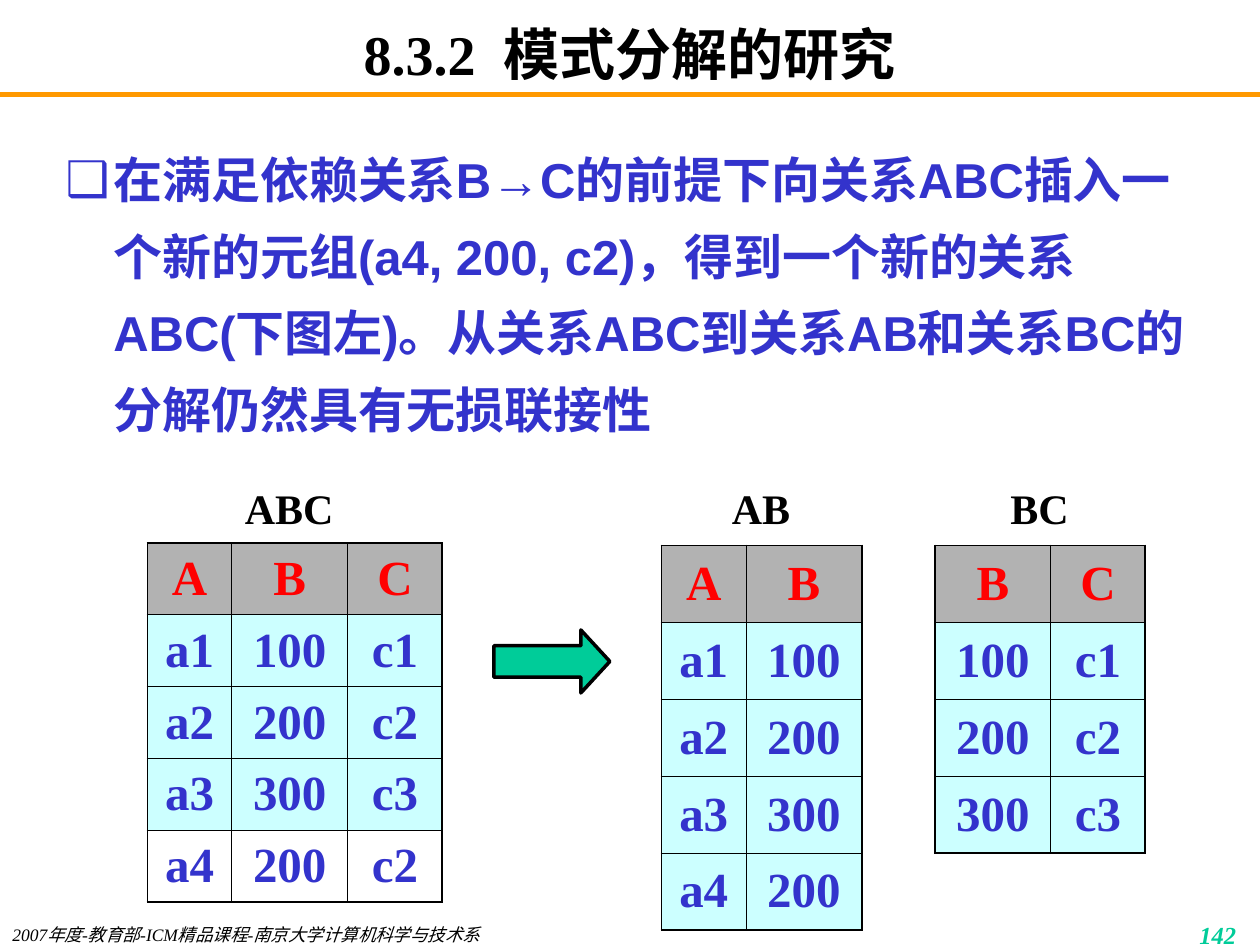
from lxml import etree
from pptx import Presentation
from pptx.dml.color import RGBColor
from pptx.enum.shapes import MSO_CONNECTOR, MSO_SHAPE
from pptx.enum.text import MSO_ANCHOR, MSO_AUTO_SIZE, PP_ALIGN
from pptx.oxml.ns import qn
from pptx.util import Inches, Pt

LEFT, CENTER, RIGHT = PP_ALIGN.LEFT, PP_ALIGN.CENTER, PP_ALIGN.RIGHT
TOP, MIDDLE = MSO_ANCHOR.TOP, MSO_ANCHOR.MIDDLE
SERIF, SANS = "Times New Roman", "Arial"
COLORS = {
    "black": "000000", "white": "FFFFFF", "orange": "FF9900", "green": "00CC99",
    "blue": "3333CC", "red": "FF0000", "gray": "B2B2B2", "cyan": "CCFFFF",
}
COLORS = {name: RGBColor.from_string(value) for name, value in COLORS.items()}


def write(frame, text, size, color, bold=True, italic=False, align=CENTER,
          anchor=TOP, font=SERIF, inset=0):
    """Add one run to the first paragraph of a text frame and format it."""
    frame.word_wrap = True
    frame.auto_size = MSO_AUTO_SIZE.NONE
    frame.vertical_anchor = anchor
    frame.margin_top = frame.margin_bottom = Inches(inset)
    paragraph = frame.paragraphs[0]
    paragraph.alignment = align
    paragraph.space_before = Pt(0)
    run = paragraph.add_run()
    run.text = text
    run.font.name, run.font.size = font, Pt(size)
    run.font.bold, run.font.italic = bold, italic
    run.font.color.rgb = COLORS[color]


def set_borders(cell, widths):
    """Draw the left, right, top and bottom cell borders, in points."""
    properties = cell._tc.get_or_add_tcPr()
    for index, (side, width) in enumerate(zip("LRTB", widths)):
        line = etree.Element(qn(f"a:ln{side}"), w=str(Pt(width)))
        fill = etree.SubElement(line, qn("a:solidFill"))
        etree.SubElement(fill, qn("a:srgbClr"), val=str(COLORS["black"]))
        properties.insert(index, line)


presentation = Presentation()
presentation.slide_width, presentation.slide_height = Inches(10), Inches(7.5)
slide = presentation.slides.add_slide(presentation.slide_layouts[1])
shapes = slide.shapes

# Title and rule
title = shapes.title
title.left, title.top = Inches(0.75), Inches(0.17)
title.width, title.height = Inches(8.5), Inches(0.5)
write(title.text_frame, "8.3.2  模式分解的研究", 32, "black", anchor=MIDDLE)

rule = shapes.add_connector(MSO_CONNECTOR.STRAIGHT, 0, Inches(0.75), Inches(10), Inches(0.75))
rule.line.color.rgb = COLORS["orange"]
rule.line.width = Pt(3)
etree.SubElement(rule._element.spPr, qn("a:effectLst"))

# Body
body = slide.placeholders[1]
body.left, body.top = Inches(0.42), Inches(1)
body.width, body.height = Inches(9.17), Inches(3.14)
paragraph = body.text_frame.paragraphs[0]
properties = paragraph._p.get_or_add_pPr()
properties.set("marL", str(Inches(0.38)))
properties.set("indent", str(-Inches(0.38)))
bullet_color = etree.SubElement(properties, qn("a:buClr"))
etree.SubElement(bullet_color, qn("a:srgbClr"), val=str(COLORS["blue"]))
etree.SubElement(properties, qn("a:buChar"), char="❑")
paragraph.line_spacing = 1.3
for text, font in (
    ("在满足依赖关系", SERIF),
    ("B→C的前提下向关系ABC插入一个新的元组(a4, 200, c2)，得到一个新的关系ABC(下图左)。"
     "从关系ABC到关系AB和关系BC的分解仍然具有无损联接性", SANS),
):
    write(body.text_frame, text, 28, "blue", align=LEFT, font=font, inset=0.05)

# Relations: name, left, top, row height, label left, label width, rows
COLUMN_WIDTHS = {"A": 0.67, "B": 0.92, "C": 0.75}
RELATIONS = [
    ("ABC", 1.17, 4.31, 0.57, 1.34, 1.91,
     ["a1 100 c1", "a2 200 c2", "a3 300 c3", "a4 200 c2"]),
    ("AB", 5.25, 4.33, 0.61, 5.33, 1.42, ["a1 100", "a2 200", "a3 300", "a4 200"]),
    ("BC", 7.42, 4.33, 0.61, 7.5, 1.5, ["100 c1", "200 c2", "300 c3"]),
]
OUTER, INNER = 1.08, 0.45
for name, left, top, row_height, label_left, label_width, tuples in RELATIONS:
    rows = [list(name)] + [values.split() for values in tuples]
    last_row, last_column = len(rows) - 1, len(name) - 1
    table_width = sum(COLUMN_WIDTHS[attribute] for attribute in name)
    table = shapes.add_table(
        len(rows), len(name), Inches(left), Inches(top),
        Inches(table_width), Inches(row_height * len(rows))).table
    for column, attribute in zip(table.columns, name):
        column.width = Inches(COLUMN_WIDTHS[attribute])
    for r, values in enumerate(rows):
        for c, value in enumerate(values):
            cell = table.cell(r, c)
            cell.vertical_anchor = MIDDLE
            fill = "gray" if r == 0 else "cyan"
            if name == "ABC" and r == last_row:
                fill = "white"
            cell.fill.solid()
            cell.fill.fore_color.rgb = COLORS[fill]
            at_edge = (c == 0, c == last_column, r == 0, r == last_row)
            set_borders(cell, [OUTER if edge else INNER for edge in at_edge])
            paragraph = cell.text_frame.paragraphs[0]
            paragraph.alignment = CENTER
            run = paragraph.add_run()
            run.text = value
            run.font.name, run.font.size, run.font.bold = SERIF, Pt(28), True
            run.font.color.rgb = COLORS["red" if r == 0 else "blue"]
    label = shapes.add_textbox(Inches(label_left), Inches(3.83), Inches(label_width), Inches(0.4))
    write(label.text_frame, name, 24, "black")

# Decomposition arrow
arrow = shapes.add_shape(MSO_SHAPE.RIGHT_ARROW, Inches(3.92), Inches(5), Inches(0.92), Inches(0.5))
arrow.adjustments[0], arrow.adjustments[1] = 0.5, 0.46
arrow.shadow.inherit = False
arrow.fill.solid()
arrow.fill.fore_color.rgb = COLORS["green"]
arrow.line.color.rgb = COLORS["black"]
arrow.line.width = Pt(2)

# Footer
footer = shapes.add_textbox(0, Inches(7.33), Inches(5.5), Inches(0.17))
write(footer.text_frame, "2007年度-教育部-ICM精品课程-南京大学计算机科学与技术系", 10, "black",
      bold=False, italic=True, align=LEFT)
page_number = shapes.add_textbox(Inches(7.83), Inches(7.25), Inches(2.08), Inches(0.25))
write(page_number.text_frame, "142", 14, "green", italic=True, align=RIGHT, inset=0.05)

presentation.save("out.pptx")
